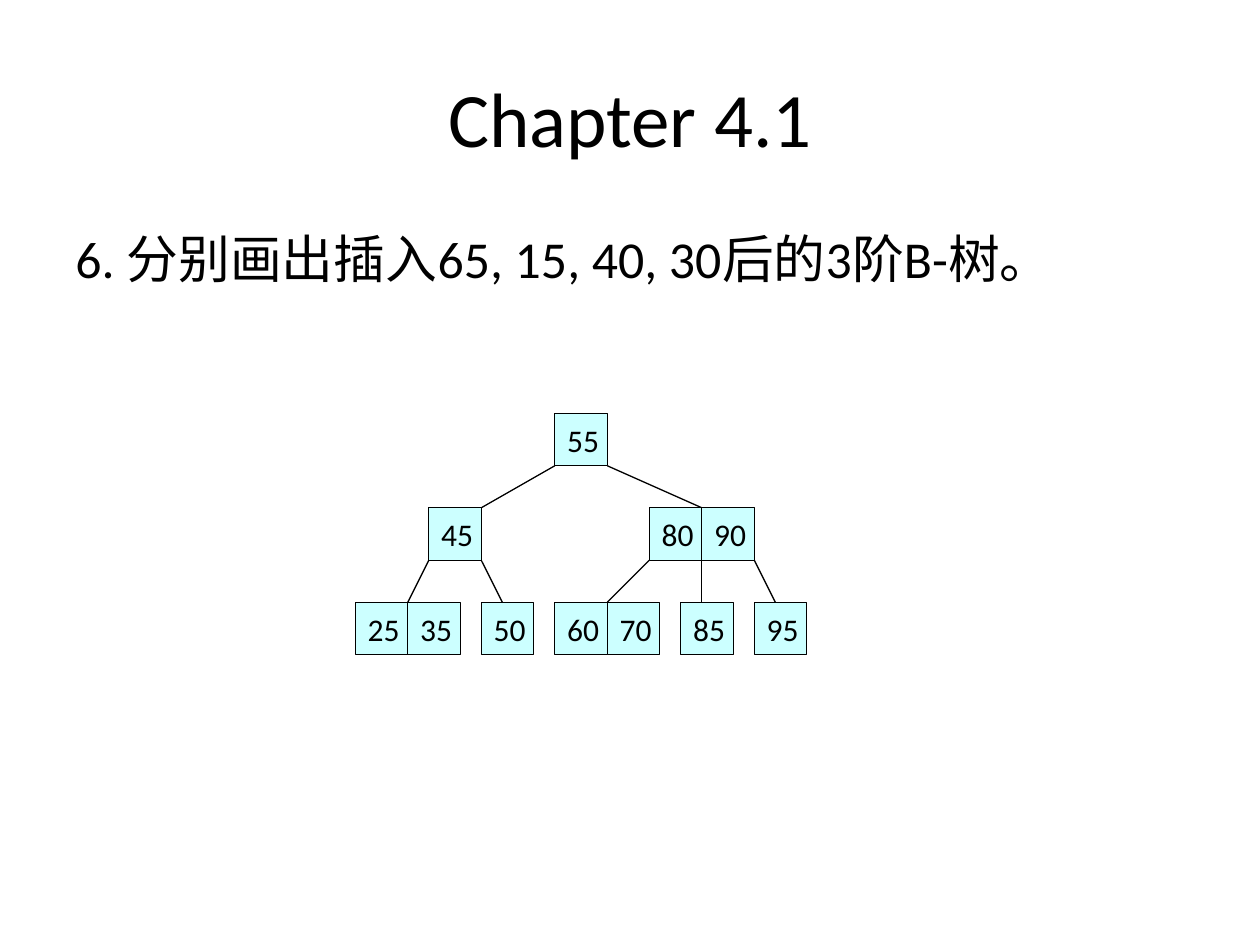
from pptx import Presentation
from pptx.dml.color import RGBColor
from pptx.enum.shapes import MSO_CONNECTOR, MSO_SHAPE
from pptx.enum.text import MSO_ANCHOR, PP_ALIGN
from pptx.oxml.ns import qn
from pptx.util import Inches, Pt
from lxml import etree

BLACK = RGBColor(0x00, 0x00, 0x00)
CYAN = RGBColor(0xCC, 0xFF, 0xFF)

# The tree sits on a grid of twelfths of an inch
UNIT = Inches(1) / 12
CELL, GAP, LEVEL = 5, 2, 9

LEAVES = [["25", "35"], ["50"], ["60", "70"], ["85"], ["95"]]
# Inner nodes: keys, column, row, and the column each branch ends on
INNER = [
    (["55"], 19, 0, [12, 33]),
    (["45"], 7, 1, [5, 14]),
    (["80", "90"], 28, 1, [24, 33, 40]),
]


def write(shape, text, size, align=PP_ALIGN.LEFT, anchor=MSO_ANCHOR.TOP, wrap=True):
    frame = shape.text_frame
    frame.word_wrap = wrap
    frame.vertical_anchor = anchor
    para = frame.paragraphs[0]
    para.alignment = align
    run = para.add_run()
    run.text = text
    for name, value in {"size": Pt(size), "name": "Calibri"}.items():
        setattr(run.font, name, value)
    run.font.color.rgb = BLACK
    return para


def add_title(slide, left, top, width, height):
    box = slide.shapes.add_textbox(left, top, width, height)
    write(box, "Chapter 4.1", 44, PP_ALIGN.CENTER, MSO_ANCHOR.MIDDLE)


def add_task(slide, left, top, width, height):
    box = slide.shapes.add_textbox(left, top, width, height)
    para = write(box, "6. 分别画出插入65, 15, 40, 30后的3阶B-树。", 29.6)
    # Hanging indent for the number
    props = para._p.get_or_add_pPr()
    props.set("marL", str(Inches(0.38)))
    props.set("indent", str(-Inches(0.38)))


def add_tree(slide, left, top):
    group = slide.shapes.add_group_shape()

    def spot(col, row):
        return round(left + col * UNIT), round(top + row * UNIT)

    def add_node(keys, col, level):
        side = round(CELL * UNIT)
        for i, key in enumerate(keys):
            x, y = spot(col + i * CELL, level * LEVEL)
            cell = group.shapes.add_shape(MSO_SHAPE.RECTANGLE, x, y, side, side)
            cell.shadow.inherit = False
            cell.fill.solid()
            cell.fill.fore_color.rgb = CYAN
            cell.line.color.rgb = BLACK
            cell.line.width = Pt(0.75)
            write(cell, key, 18, anchor=MSO_ANCHOR.MIDDLE, wrap=False)

    def add_branch(start, end):
        line = group.shapes.add_connector(MSO_CONNECTOR.STRAIGHT, *start, *end)
        line.line.color.rgb = BLACK
        line.line.width = Pt(0.75)
        etree.SubElement(line._element.spPr, qn("a:effectLst"))

    # Leaves run left to right with equal gaps
    col = 0
    for keys in LEAVES:
        add_node(keys, col, 2)
        col += len(keys) * CELL + GAP

    # Inner nodes, with a branch from each key boundary
    for keys, col, level, ends in INNER:
        add_node(keys, col, level)
        for i, end in enumerate(ends):
            add_branch(spot(col + i * CELL, level * LEVEL + CELL),
                       spot(end, (level + 1) * LEVEL))


def main():
    deck = Presentation()
    deck.slide_width, deck.slide_height = Inches(10), Inches(7.5)
    slide = deck.slides.add_slide(deck.slide_layouts[6])
    add_title(slide, Inches(0.5), Inches(0.3), Inches(9), Inches(1.25))
    add_task(slide, Inches(0.5), Inches(1.75), Inches(8.64), Inches(0.83))
    add_tree(slide, Inches(2.82), Inches(3.28))
    deck.save("out.pptx")


if __name__ == "__main__":
    main()
